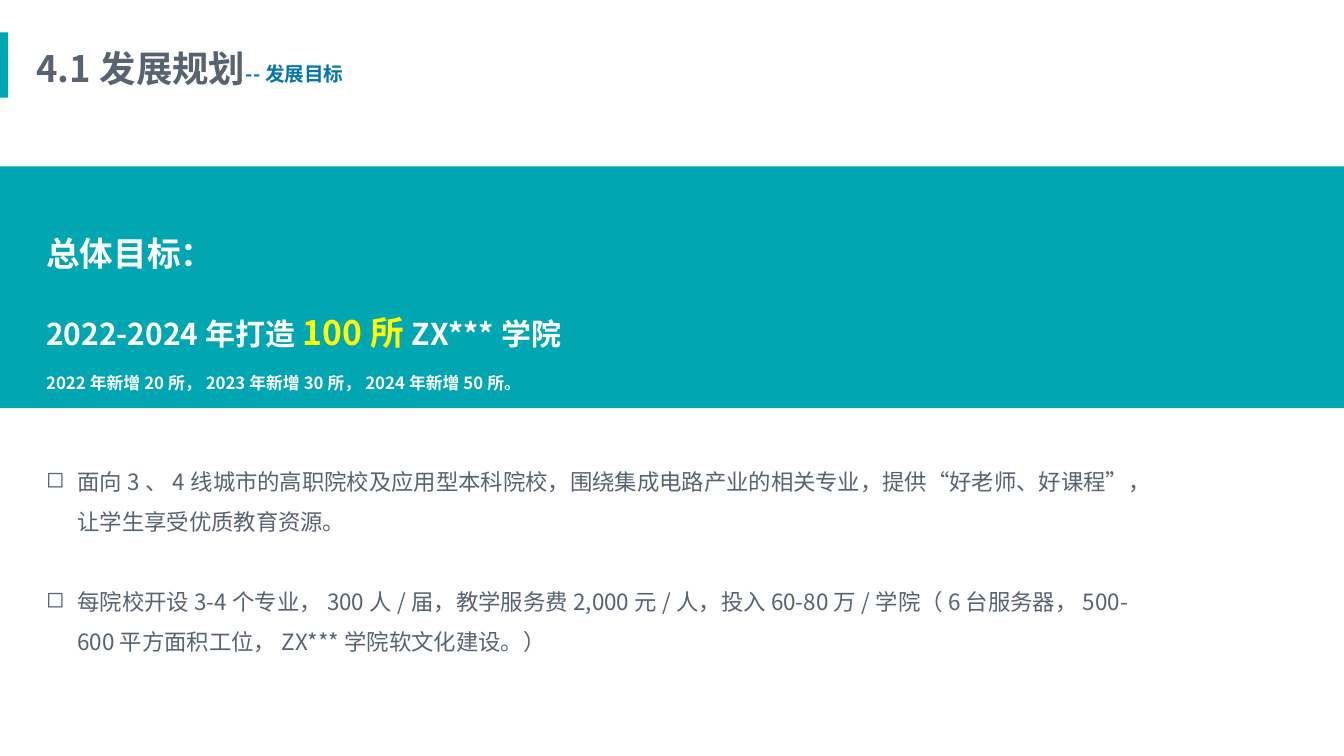
"""Builds the development goals slide with a teal banner and two bullets."""
from lxml import etree
from pptx import Presentation
from pptx import util as u
from pptx.dml.color import RGBColor
from pptx.enum import shapes
from pptx.oxml.ns import qn

FONT = "Noto Sans CJK SC"
LINE_HEIGHT = 1.19
COLORS = {
    "teal": "00A6B2",
    "slate": "586371",
    "blue": "0277AC",
    "white": "FFFFFF",
    "yellow": "FFFF00",
}


def add_text_box(slide, left, top, width, height):
    frame = slide.shapes.add_textbox(
        u.Inches(left), u.Inches(top), u.Inches(width), u.Inches(height)
    ).text_frame
    frame.word_wrap = True
    frame.margin_top = u.Inches(0.08)
    return frame


def fill_paragraph(paragraph, pieces, spacing=1, bold=True):
    largest = max(size for _, size, _ in pieces)
    paragraph.line_spacing = u.Pt(round(largest * LINE_HEIGHT * spacing, 1))
    for words, size, color in pieces:
        run = paragraph.add_run()
        run.text = words
        run.font.name = FONT
        run.font.size = u.Pt(size)
        run.font.bold = bold
        run.font.color.rgb = RGBColor.from_string(COLORS[color])
        east_asian = etree.SubElement(run.font._element, qn("a:ea"))
        east_asian.set("typeface", FONT)


presentation = Presentation()
presentation.slide_width = u.Inches(13.33)
presentation.slide_height = u.Inches(7.5)
slide = presentation.slides.add_slide(presentation.slide_layouts[6])

for top, width, height in [(0.32, 0.08, 0.65), (1.65, 13.33, 2.4)]:
    shape = slide.shapes.add_shape(
        shapes.MSO_SHAPE.RECTANGLE,
        u.Inches(0), u.Inches(top), u.Inches(width), u.Inches(height),
    )
    shape.shadow.inherit = False
    shape.fill.solid()
    shape.fill.fore_color.rgb = RGBColor.from_string(COLORS["teal"])
    shape.line.fill.background()

title = add_text_box(slide, 0.26, 0.38, 2.49, 0.54)
fill_paragraph(title.paragraphs[0], [("4.1发展规划", 26, "slate")])

subtitle = add_text_box(slide, 2.34, 0.54, 4.06, 0.34)
fill_paragraph(subtitle.paragraphs[0], [("--发展目标", 14, "blue")])

goal_lines = [
    (1.1, [("总体目标：", 24, "white")]),
    (2, [
        ("2022-2024年打造", 21.4, "white"),
        ("100所", 24, "yellow"),
        ("ZX***学院", 21.4, "white"),
    ]),
    (2, [("2022年新增20所，2023年新增30所，2024年新增50所。", 12, "white")]),
]
goals = add_text_box(slide, 0.36, 2.19, 6.25, 1.7)
for index, (spacing, pieces) in enumerate(goal_lines):
    paragraph = goals.add_paragraph() if index else goals.paragraphs[0]
    fill_paragraph(paragraph, pieces, spacing)

plan_lines = [
    "面向3、4线城市的高职院校及应用型本科院校，围绕集成电路产业的相关专业，"
    "提供“好老师、好课程”，让学生享受优质教育资源。",
    "每院校开设3-4个专业，300人/届，教学服务费2,000元/人，投入60-80万/学院"
    "（6台服务器，500-600平方面积工位，ZX***学院软文化建设。）",
]
plans = add_text_box(slide, 0.36, 4.43, 11.29, 2.07)
for index, words in enumerate(plan_lines):
    paragraph = plans.add_paragraph() if index else plans.paragraphs[0]
    properties = paragraph._p.get_or_add_pPr()
    properties.set("marL", str(u.Inches(0.31)))
    properties.set("indent", str(-u.Inches(0.31)))
    etree.SubElement(properties, qn("a:buChar")).set("char", "◻")
    fill_paragraph(paragraph, [(words, 16, "slate")], 1.5, bold=False)
    if index:
        paragraph.space_before = u.Pt(28.6)

presentation.save("out.pptx")
